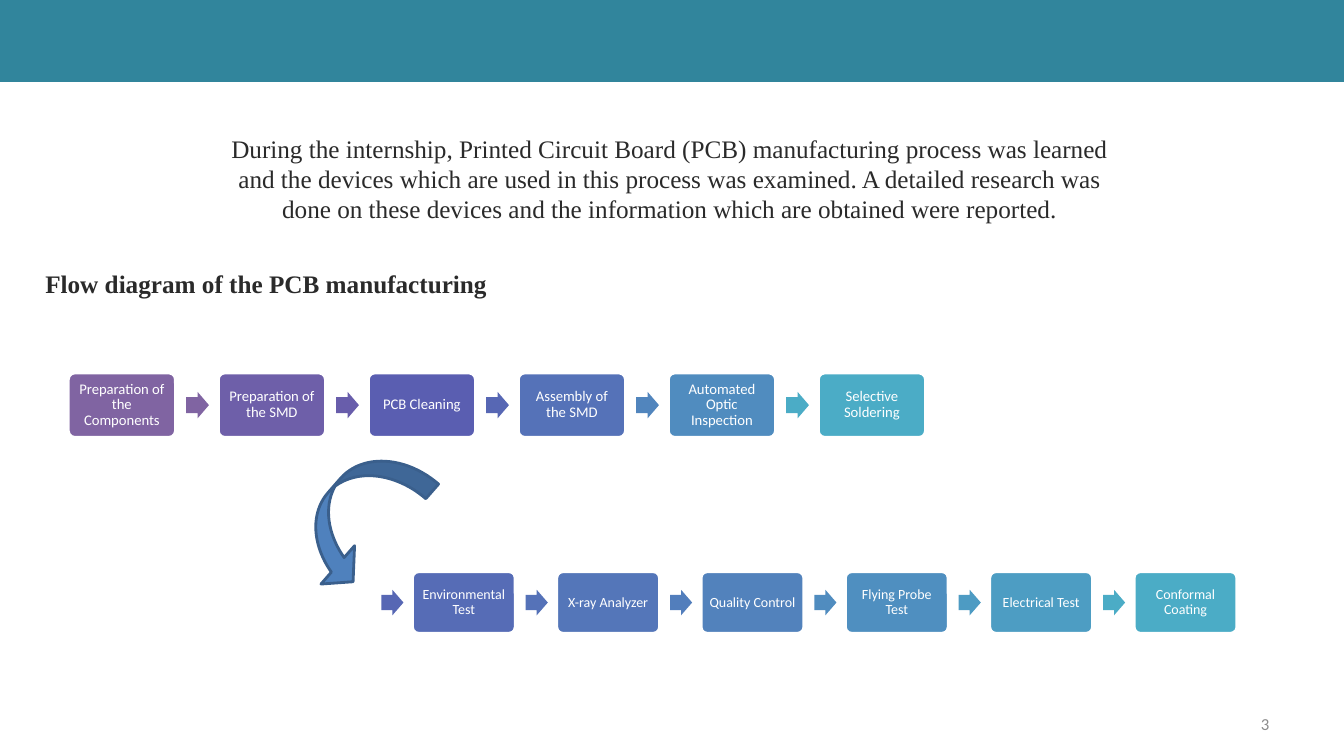
from dataclasses import dataclass

from pptx import Presentation
from pptx.dml.color import RGBColor
from pptx.enum.shapes import MSO_SHAPE as Shape
from pptx.enum.text import MSO_ANCHOR as Anchor, PP_ALIGN as Align
from pptx.util import Pt

WHITE = "FFFFFF"
INK = "2A2A2A"


@dataclass
class Step:
    text: str
    fill: str
    arrow: str | None


@dataclass
class FlowRow:
    left: float
    top: float
    pitch: float
    width: float
    height: float
    arrow_lead: float
    arrow_width: float
    arrow_height: float
    inset: float
    size: float
    steps: list[Step]


ROWS = [
    FlowRow(48.8, 266.4, 107.15, 76.5, 46, 23, 16.3, 19, 3.6, 10.5, [
        Step("Preparation of the Components", "8064A2", None),
        Step("Preparation of the SMD", "6E5FA9", "8064A2"),
        Step("PCB Cleaning", "5A5EB1", "685DAB"),
        Step("Assembly of the SMD", "5572B8", "5767B4"),
        Step("Automated Optic Inspection", "508CBF", "5185BD"),
        Step("Selective Soldering", "4BACC6", "4BACC6"),
    ]),
    FlowRow(294.6, 408.4, 103.1, 73.4, 44, 22.2, 15.8, 18.2, 3, 10, [
        Step("Environmental Test", "566CB6", "5767B4"),
        Step("X-ray Analyzer", "5476B9", "5572B8"),
        Step("Quality Control", "5282BC", "527EBC"),
        Step("Flying Probe Test", "4F8FC0", "508CBF"),
        Step("Electrical Test", "4D9DC3", "4D9BC3"),
        Step("Conformal Coating", "4BACC6", "4BACC6"),
    ]),
]


def color(value: str) -> RGBColor:
    return RGBColor.from_string(value)


def add_shape(s, kind, left: float, top: float, width: float, height: float,
              fill: str, line: str | None = None, adjustments: tuple = ()):
    sp = s.shapes.add_shape(kind, Pt(left), Pt(top), Pt(width), Pt(height))
    sp.shadow.inherit = False
    sp.fill.solid()
    sp.fill.fore_color.rgb = color(fill)
    if line:
        sp.line.color.rgb = color(line)
        sp.line.width = Pt(2)
    else:
        sp.line.fill.background()
    for i, value in enumerate(adjustments):
        sp.adjustments[i] = value
    return sp


def write(tf, text: str, size: float, name: str, ink: str,
          align=Align.CENTER, bold: bool = False):
    tf.word_wrap = True
    p = tf.paragraphs[0]
    p.text = text
    p.alignment = align
    p.font.size = Pt(size)
    p.font.name = name
    p.font.bold = bold
    p.font.color.rgb = color(ink)
    return p


def add_text(s, left: float, top: float, width: float, height: float):
    return s.shapes.add_textbox(Pt(left), Pt(top), Pt(width), Pt(height)).text_frame


def add_row(s, row: FlowRow) -> None:
    for i, step in enumerate(row.steps):
        left = row.left + i * row.pitch
        if step.arrow:
            add_shape(s, Shape.RIGHT_ARROW, left - row.arrow_lead,
                      row.top + (row.height - row.arrow_height) / 2,
                      row.arrow_width, row.arrow_height, step.arrow,
                      adjustments=(0.6, 0.5))
        sp = add_shape(s, Shape.ROUNDED_RECTANGLE, left, row.top, row.width,
                       row.height, step.fill, WHITE, (0.1,))
        tf = sp.text_frame
        tf.margin_left = tf.margin_right = Pt(row.inset)
        tf.margin_top = tf.margin_bottom = Pt(row.inset)
        tf.vertical_anchor = Anchor.MIDDLE
        p = write(tf, step.text, row.size, "Calibri", WHITE)
        p.line_spacing = 0.9


def main() -> None:
    prs = Presentation()
    prs.slide_width, prs.slide_height = Pt(960), Pt(540)
    s = prs.slides.add_slide(prs.slide_layouts[6])

    add_shape(s, Shape.RECTANGLE, 0, 0, 960, 58.5, "31859C")

    number = add_text(s, 689.8, 502.6, 223.9, 28.8)
    number.vertical_anchor = Anchor.MIDDLE
    write(number, "3", 12, "Calibri", "8C8C8C", Align.RIGHT)

    for row in ROWS:
        add_row(s, row)

    turn = add_shape(s, Shape.CURVED_RIGHT_ARROW, 228.2, 313.9, 55.4, 110.9,
                     "4F81BD", "3A5F8C", (0.25, 0.658, 0.292))
    turn.rotation = 41.2

    intro = add_text(s, 144.7, 91.4, 667.4, 72.7)
    write(intro, "During the internship, Printed Circuit Board (PCB) manufacturing "
          "process was learned and the devices which are used in this process was "
          "examined. A detailed research was done on these devices and the "
          "information which are obtained were reported.",
          18, "Times New Roman", INK)

    heading = add_text(s, 18, 187.9, 344.2, 28.8)
    write(heading, "Flow diagram of the PCB manufacturing", 18,
          "Times New Roman", INK, bold=True)

    prs.save("out.pptx")


if __name__ == "__main__":
    main()
